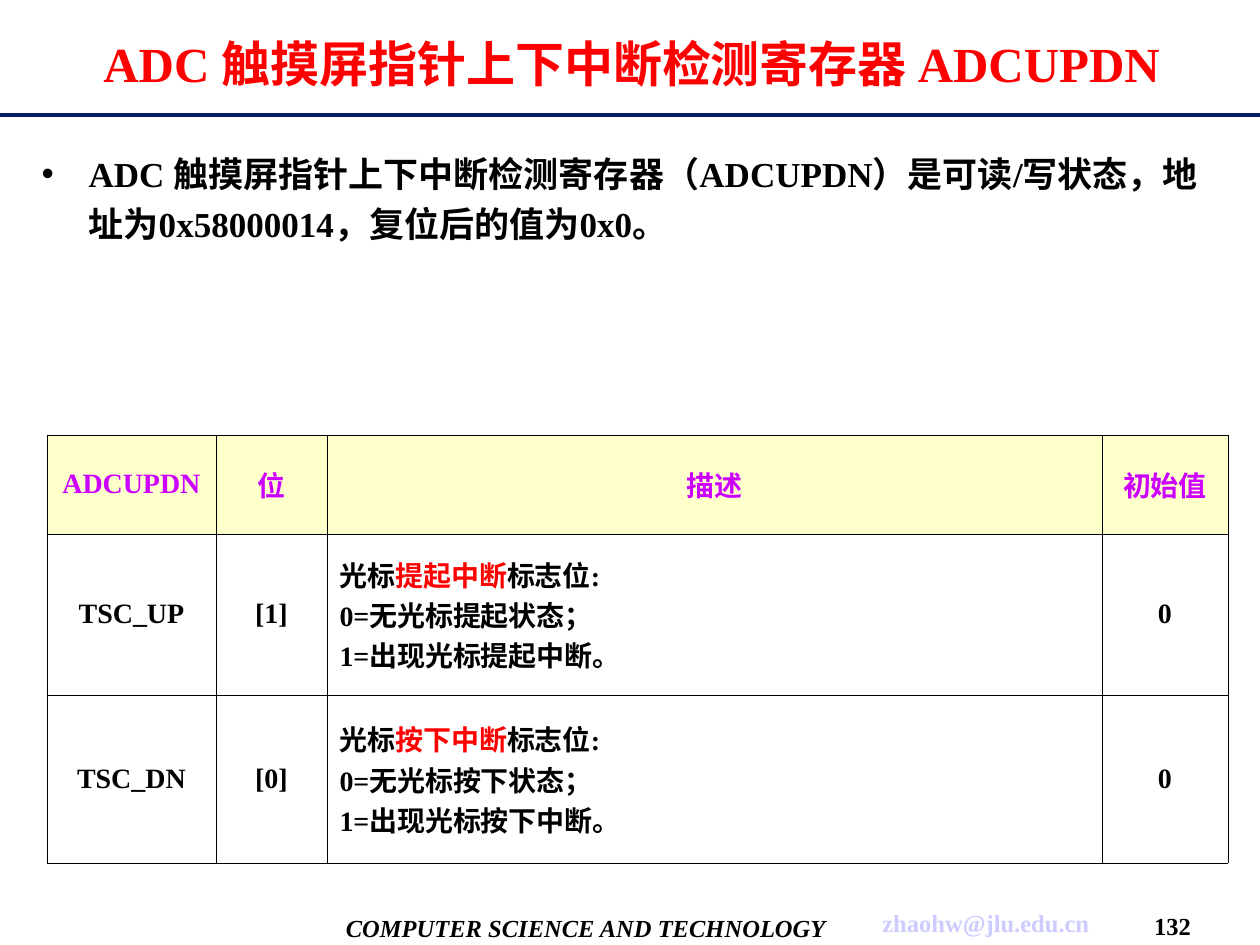
import dataclasses

import pptx
import pptx.dml.color
import pptx.enum.shapes
import pptx.enum.text
import pptx.oxml.ns
import pptx.util
from lxml import etree

ALIGN = pptx.enum.text.PP_ALIGN
ANCHOR = pptx.enum.text.MSO_ANCHOR


@dataclasses.dataclass(frozen=True)
class Theme:
    """Colours, font and type sizes of the slide."""
    face: str = "Times New Roman"
    ink: str = "000000"
    accent: str = "FF0000"
    header_ink: str = "CC00FF"
    header_fill: str = "FFFFCC"
    rule: str = "001E64"
    email: str = "CCCCFF"
    title_size: int = 28
    body_size: int = 20
    table_size: int = 16
    footer_size: int = 14


THEME = Theme()


def px(length):
    """Turn a length in px into EMU."""
    return pptx.util.Emu(round(length * 914400 / 126))


def rgb(colour):
    """Turn a hex string into a colour."""
    return pptx.dml.color.RGBColor.from_string(colour)


def add_child(parent, tag, **attributes):
    """Append a DrawingML element to a parent."""
    return etree.SubElement(parent, pptx.oxml.ns.qn(tag), attributes)


def style_font(paragraph, size, colour, italic=False):
    """Give a paragraph the bold face of the slide."""
    font = paragraph.font
    font.name, font.size = THEME.face, pptx.util.Pt(size)
    font.bold, font.italic = True, italic
    font.color.rgb = rgb(colour)


def place(shape, left, top, width, height):
    """Move and size a placeholder."""
    shape.left, shape.top = px(left), px(top)
    shape.width, shape.height = px(width), px(height)


def add_title(slide, text):
    """Fill the title placeholder."""
    title = slide.shapes.title
    place(title, 41, 10, 1181, 105)
    frame = title.text_frame
    frame.text = text
    frame.auto_size = pptx.enum.text.MSO_AUTO_SIZE.NONE
    frame.vertical_anchor = ANCHOR.MIDDLE
    frame.paragraphs[0].alignment = ALIGN.CENTER
    style_font(frame.paragraphs[0], THEME.title_size, THEME.accent)


def add_summary(slide, text):
    """Fill the body placeholder with one bulleted paragraph."""
    body = slide.placeholders[1]
    place(body, 29, 137, 1203, 762)
    frame = body.text_frame
    frame.text = text
    frame.auto_size = pptx.enum.text.MSO_AUTO_SIZE.NONE
    frame.margin_top = px(7)
    summary = frame.paragraphs[0]
    properties = summary._p.get_or_add_pPr()
    properties.set("marL", str(px(47)))
    properties.set("indent", str(px(-47)))
    add_child(add_child(properties, "a:buClr"), "a:srgbClr", val=THEME.ink)
    add_child(properties, "a:buChar", char="•")
    summary.line_spacing = 1.2
    summary.space_before = pptx.util.Pt(0)
    style_font(summary, THEME.body_size, THEME.ink)


def add_rule(slide):
    """Draw the line under the title."""
    rule = slide.shapes.add_connector(
        pptx.enum.shapes.MSO_CONNECTOR.STRAIGHT, px(0), px(115), px(1260), px(115))
    rule.line.color.rgb = rgb(THEME.rule)
    rule.line.width = pptx.util.Pt(1.75)
    add_child(rule._element.spPr, "a:effectLst")


def add_footer(slide, text, box, colour, italic=False):
    """Add one centred footer text."""
    frame = slide.shapes.add_textbox(*map(px, box)).text_frame
    frame.word_wrap = True
    frame.margin_left = frame.margin_right = 0
    frame.vertical_anchor = ANCHOR.MIDDLE
    frame.text = text
    frame.paragraphs[0].alignment = ALIGN.CENTER
    style_font(frame.paragraphs[0], THEME.footer_size, colour, italic)


def add_borders(cell):
    """Draw thin lines on all sides of a cell."""
    properties = cell._tc.get_or_add_tcPr()
    for side in ("a:lnL", "a:lnR", "a:lnT", "a:lnB"):
        border = add_child(properties, side, w=str(pptx.util.Pt(0.45)))
        add_child(add_child(border, "a:solidFill"), "a:srgbClr", val=THEME.ink)


def fill_cell(cell, lines, alignment, colour, fill=None):
    """Write lines of (text, accented) runs into a bordered cell."""
    add_borders(cell)
    if fill:
        cell.fill.solid()
        cell.fill.fore_color.rgb = rgb(fill)
    else:
        cell.fill.background()
    cell.vertical_anchor = ANCHOR.MIDDLE
    cell.margin_left = cell.margin_right = pptx.util.Inches(0.1)
    frame = cell.text_frame
    for index, runs in enumerate(lines):
        paragraph = frame.add_paragraph() if index else frame.paragraphs[0]
        paragraph.alignment = alignment
        style_font(paragraph, THEME.table_size, colour)
        for text, accented in runs:
            run = paragraph.add_run()
            run.text = text
            if accented:
                run.font.color.rgb = rgb(THEME.accent)


def describe(action):
    """List the lines that explain a flag bit."""
    return [
        [("光标", False), (f"{action}中断", True), ("标志位:", False)],
        [(f"0=无光标{action}状态；", False)],
        [(f"1=出现光标{action}中断。", False)],
    ]


def add_register_table(slide, headings, flags):
    """Add the table of register bits."""
    widths, heights = (169, 111, 775, 126), (99, 161, 168)
    table = slide.shapes.add_table(
        len(heights), len(widths), px(47), px(435),
        px(sum(widths)), px(sum(heights))).table
    for column, width in zip(table.columns, widths):
        column.width = px(width)
    for row, height in zip(table.rows, heights):
        row.height = px(height)
    for column, heading in enumerate(headings):
        fill_cell(table.cell(0, column), [[(heading, False)]], ALIGN.CENTER,
                  THEME.header_ink, THEME.header_fill)
    for row, (name, bit, action, initial) in enumerate(flags, 1):
        for column, value in ((0, name), (1, bit), (3, initial)):
            fill_cell(table.cell(row, column), [[(value, False)]],
                      ALIGN.CENTER, THEME.ink)
        fill_cell(table.cell(row, 2), describe(action), ALIGN.LEFT, THEME.ink)


def main():
    """Build and save the slide."""
    deck = pptx.Presentation()
    deck.slide_width, deck.slide_height = px(1260), px(945)
    slide = deck.slides.add_slide(deck.slide_layouts[1])
    add_rule(slide)
    add_footer(slide, "COMPUTER SCIENCE AND TECHNOLOGY",
               (334, 901, 504, 53), THEME.ink, italic=True)
    add_footer(slide, "zhaohw@jlu.edu.cn", (872, 900, 228, 45), THEME.email)
    add_footer(slide, "132", (1145, 906, 55, 39), THEME.ink)
    add_title(slide, "ADC 触摸屏指针上下中断检测寄存器 ADCUPDN")
    add_summary(slide, "ADC 触摸屏指针上下中断检测寄存器（ADCUPDN）是可读/写状态，"
                       "地址为0x58000014，复位后的值为0x0。")
    add_register_table(slide, ("ADCUPDN", "位", "描述", "初始值"), (
        ("TSC_UP", "[1]", "提起", "0"),
        ("TSC_DN", "[0]", "按下", "0"),
    ))
    deck.save("out.pptx")


if __name__ == "__main__":
    main()
